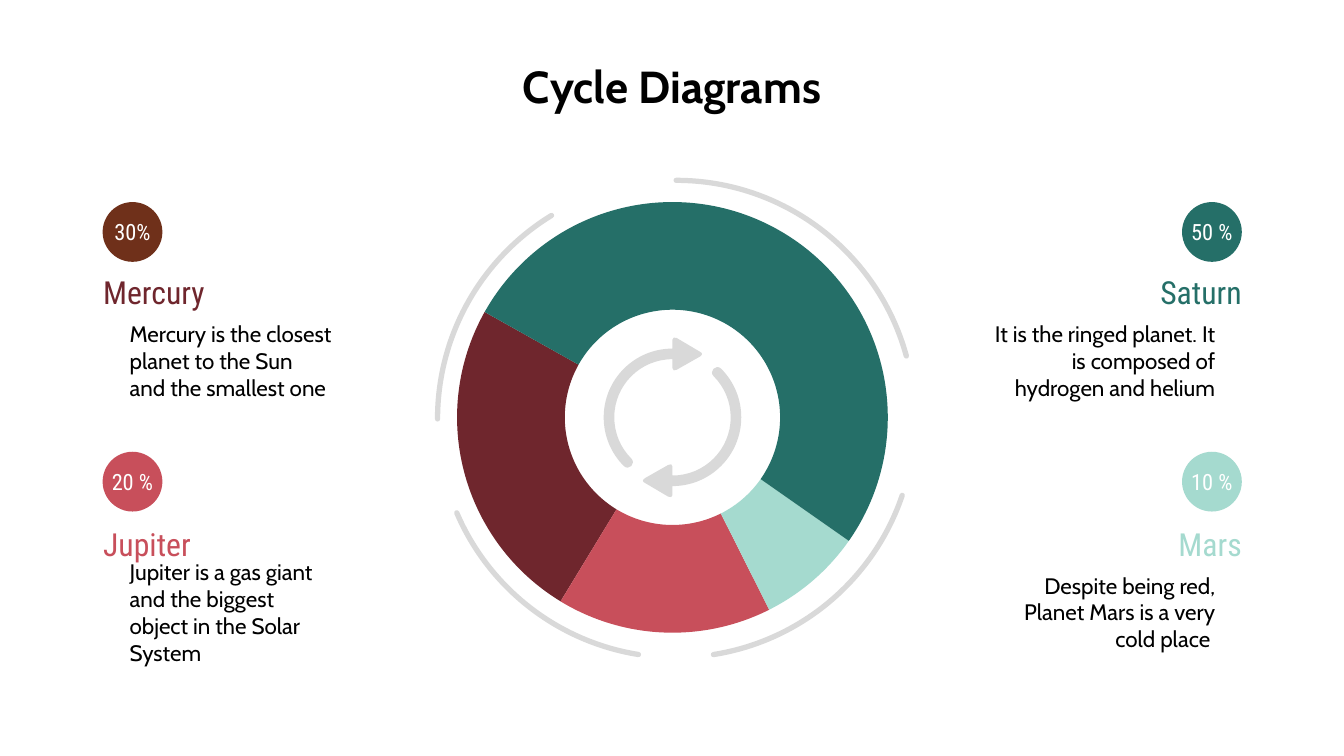
import math
import lxml.etree
import pptx
import pptx.dml.color
import pptx.enum.shapes
import pptx.enum.text
import pptx.oxml.ns
import pptx.util

Cm = pptx.util.Cm
SHAPES = pptx.enum.shapes.MSO_SHAPE
ALIGN = pptx.enum.text.PP_ALIGN
ANCHOR = pptx.enum.text.MSO_ANCHOR


def paint(target, colour):
    target.fill.solid()
    target.fill.fore_color.rgb = pptx.dml.color.RGBColor.from_string(colour)


def write(box, text, size, font, colour, align, insets, bold=False):
    frame = box.text_frame
    left, top, right, bottom = (Cm(inset) for inset in insets)
    frame_format = {
        "word_wrap": True,
        "vertical_anchor": ANCHOR.MIDDLE,
        "margin_left": left,
        "margin_top": top,
        "margin_right": right,
        "margin_bottom": bottom,
    }
    for name, value in frame_format.items():
        setattr(frame, name, value)
    para = frame.paragraphs[0]
    para.alignment = align
    span = para.add_run()
    span.text = text
    font_format = {"size": pptx.util.Pt(size), "name": font, "bold": bold}
    for name, value in font_format.items():
        setattr(span.font, name, value)
    paint(span.font, colour)


deck = pptx.Presentation()
deck.slide_width, deck.slide_height = Cm(25.4), Cm(14.29)
page = deck.slides.add_slide(deck.slide_layouts[6])

title = page.shapes.add_textbox(Cm(0.5), Cm(0.86), Cm(24.4), Cm(1.6))
write(title, "Cycle Diagrams", 24, "Cabin", "000000", ALIGN.CENTER, [0.25] * 4, True)
title.text_frame.vertical_anchor = ANCHOR.TOP

segments = [
    ("6F262D", 121.3, 209.3),
    ("C84F5B", 63.3, 121.3),
    ("A5DACF", 35, 63.3),
    ("256F68", 209.3, 35),
]
for colour, start, end in segments:
    segment = page.shapes.add_shape(SHAPES.BLOCK_ARC, Cm(8.64), Cm(3.82), Cm(8.14), Cm(8.14))
    segment.shadow.inherit = False
    segment.line.fill.background()
    paint(segment, colour)
    for index, value in enumerate([start * 0.6, end * 0.6, 0.25]):
        segment.adjustments[index] = value

arrow_tip = [
    *[(0, -1.47)] * 3, (0, -1.5), (0.04, -1.53), (0.08, -1.5),
    *[(0.52, -1.24)] * 3, (0.57, -1.22), (0.57, -1.18), (0.52, -1.15),
    *[(0.08, -0.9)] * 3, (0.04, -0.87), (0, -0.89), (0, -0.93),
    *[(0, -1.1)] * 3,
]
outer_spans = [(-90, -15.3), (18.7, 81), (99.1, 156.8), (180, 238.5)]
curves = [
    (12.78, 7.92, 4.51, 0.05, outer_spans, []),
    (12.71, 7.89, 1.2, 0.1, [(135, 180, 270)], arrow_tip),
    (12.71, 7.89, 1.2, 0.1, [(-45, 0, 90)], [(-x, -y) for x, y in arrow_tip]),
]
for centre_x, centre_y, radius, half, spans, tip in curves:
    builder = None
    for stops in spans:
        first, last = math.radians(stops[0]), math.radians(stops[-1])
        steps = [(math.radians(a), math.radians(b)) for a, b in zip(stops, stops[1:])]
        arcs = [(0, 0, radius + half, a, b) for a, b in steps]
        for angle, turn in ((last, last), (first, first + math.pi)):
            cap_x, cap_y = radius * math.cos(angle), radius * math.sin(angle)
            arcs.append((cap_x, cap_y, half, turn, turn + math.pi))
        inner = [(0, 0, radius - half, b, a) for a, b in reversed(steps)]
        arcs[-1:-1] = inner
        outline = [((radius + half) * math.cos(first), (radius + half) * math.sin(first))]
        for index, (x, y, reach, a, b) in enumerate(arcs):
            if tip and index == len(steps):
                outline += tip
                continue
            pull = 4 / 3 * math.tan((b - a) / 4)
            for angle, tangent in ((a, pull), (b, -pull), (b, 0)):
                outline.append((
                    x + reach * (math.cos(angle) - tangent * math.sin(angle)),
                    y + reach * (math.sin(angle) + tangent * math.cos(angle)),
                ))
        points = [(Cm(centre_x + x), Cm(centre_y + y)) for x, y in outline]
        if builder is None:
            builder = page.shapes.build_freeform(*points[0])
        else:
            builder.move_to(*points[0])
        builder.add_line_segments(points[1:], close=True)
    curve = builder.convert_to_shape()
    curve.shadow.inherit = False
    curve.line.fill.background()
    paint(curve, "D9D9D9")
    lines = curve._element.xpath(".//a:lnTo")
    for index in range(0, len(lines), 3):
        bezier = lxml.etree.Element(pptx.oxml.ns.qn("a:cubicBezTo"))
        lines[index].addprevious(bezier)
        for line in lines[index:index + 3]:
            bezier.append(line[0])
            line.getparent().remove(line)

columns = {"left": (1.94, 1.7, ALIGN.LEFT), "right": (22.34, 18.38, ALIGN.RIGHT)}
rows = {"top": (3.82, 4.93), "bottom": (8.54, 9.68)}
planets = [
    ("left", "top", "30%", "6F301A", "Mercury", "6F262D", 0.75,
     "Mercury is the closest planet to the Sun and the smallest one"),
    ("left", "bottom", "20 %", "C84F5B", "Jupiter", "C84F5B", 0.75,
     "Jupiter is a gas giant and the biggest object in the Solar System"),
    ("right", "top", "50 %", "256F68", "Saturn", "256F68", 0.25,
     "It is the ringed planet. It is composed of hydrogen and helium"),
    ("right", "bottom", "10 %", "A5DACF", "Mars", "A5DACF", 0.75,
     "Despite being red, Planet Mars is a very cold place "),
]
for column, row, share, badge_colour, planet, colour, inset, description in planets:
    badge_left, text_left, align = columns[column]
    badge_top, heading_top = rows[row]

    badge = page.shapes.add_shape(SHAPES.OVAL, Cm(badge_left), Cm(badge_top), Cm(1.13), Cm(1.13))
    badge.shadow.inherit = False
    badge.line.fill.background()
    paint(badge, badge_colour)
    write(badge, share, 12, "Roboto Condensed", "FFFFFF", ALIGN.CENTER, [0, 0.25, 0, 0.25])

    heading = page.shapes.add_textbox(Cm(text_left), Cm(heading_top), Cm(5.34), Cm(1.19))
    write(heading, planet, 17, "Roboto Condensed", colour, align, [0.25] * 4)

    body = page.shapes.add_textbox(Cm(text_left), Cm(heading_top + 1.19), Cm(5.34), Cm(1.4))
    write(body, description, 12, "Cabin", "000000", align, [inset, 0.25, 0.75, 0.25])

deck.save("out.pptx")
